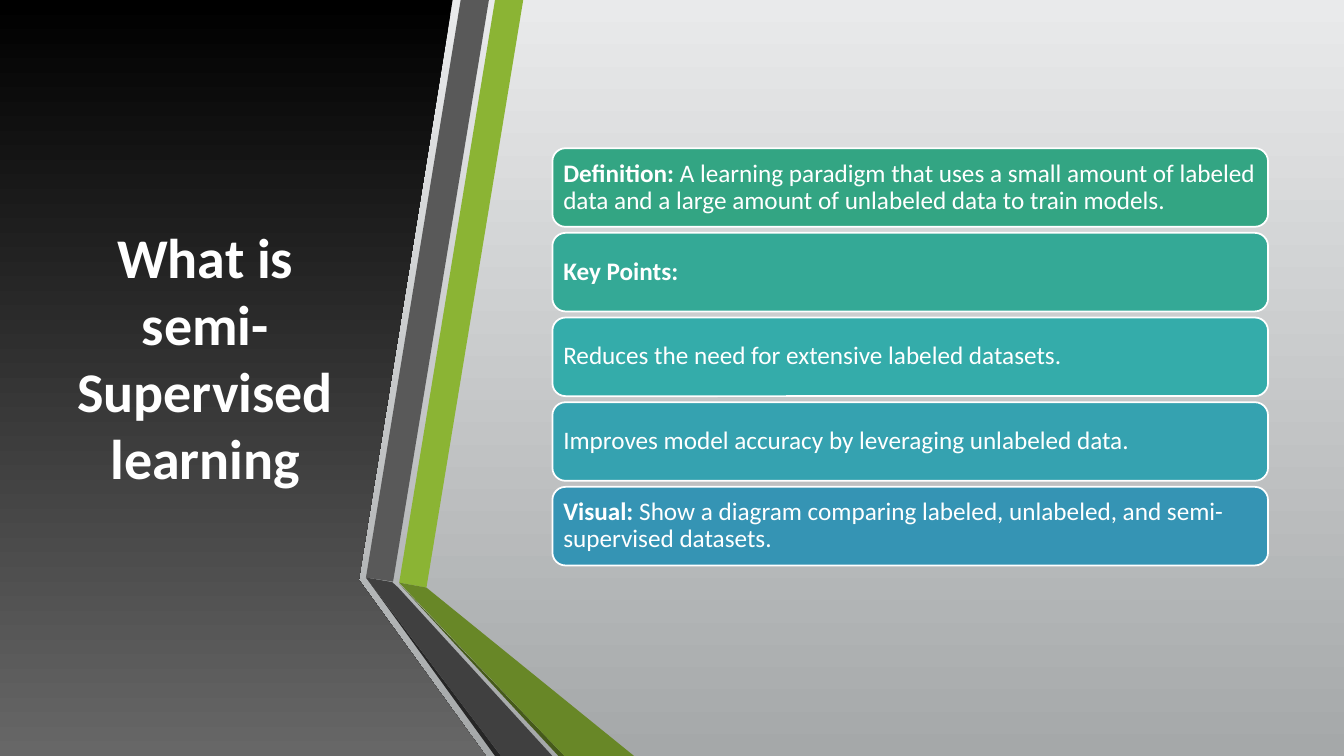
from dataclasses import dataclass

from pptx import Presentation
from pptx.dml.color import RGBColor as Rgb
from pptx.dml.fill import FillFormat as Fill
from pptx.enum.shapes import MSO_SHAPE as Kind
from pptx.enum.text import MSO_ANCHOR as Anchor, MSO_AUTO_SIZE as Fit, PP_ALIGN as Align
from pptx.shapes.autoshape import Shape
from pptx.slide import Slide
from pptx.text.text import Font
from pptx.util import Inches, Pt

WIDE, HIGH = Inches(13.33), Inches(7.5)
Point = tuple[float, float]  # shares of the slide, in percent


@dataclass(frozen=True)
class Theme:
    face: str = "Calibri"
    head: int = 40
    body: int = 18
    edge: float = 1.25
    white: str = "FFFFFF"
    back: tuple[str, str] = ("E9EAEB", "A5A8A9")
    panel: tuple[str, str] = ("000000", "676767")


@dataclass(frozen=True)
class Band:
    color: str
    points: tuple[Point, ...]


@dataclass(frozen=True)
class Card:
    color: str
    lead: str = ""
    text: str = ""


THEME = Theme()
TITLE = "What is semi-Supervised learning"
PANEL = ((0, 0), (33.68, 0), (26.7, 76.7), (36.15, 100), (0, 100))
BANDS = (
    Band("8BB434", ((29.7, 77.07), (31.73, 77.73), (38.93, 0), (36.83, 0))),
    Band("595959", ((36.38, 0), (34.28, 0), (27.23, 76.4), (29.25, 76.93))),
    Band("262626", ((27.23, 76.4), (36.83, 100), (37.28, 100))),
    Band("465A1A", ((29.7, 77.2), (41.55, 100), (42, 100))),
    Band("688727", ((29.7, 77.07), (42, 100), (47.18, 100), (31.73, 77.73))),
    Band("404040", ((41.1, 100), (29.63, 77.73), (29.18, 77), (27.23, 76.4),
                    (37.28, 100))),
)
CARDS = (
    Card("33A583", "Definition:", " A learning paradigm that uses a small amount of "
         "labeled data and a large amount of unlabeled data to train models."),
    Card("34A996", "Key Points:"),
    Card("34ACAA", text="Reduces the need for extensive labeled datasets."),
    Card("35A2B0", text="Improves model accuracy by leveraging unlabeled data."),
    Card("3594B4", "Visual:", " Show a diagram comparing labeled, unlabeled, and "
         "semi-supervised datasets."),
)
LEFT, TOP, SPAN, TALL, STEP = 41.1, 19.6, 53.25, 10.4, 11.2


def across(share: float) -> int:
    return round(WIDE * share / 100)


def down(share: float) -> int:
    return round(HIGH * share / 100)


def shade(fill: Fill, ends: tuple[str, str]) -> None:
    """Fill with a gradient from top to bottom."""
    fill.gradient()
    fill.gradient_angle = 270
    for stop, color in zip(fill.gradient_stops, ends):
        stop.color.rgb = Rgb.from_string(color)


def style(font: Font, size: int) -> None:
    font.name = THEME.face
    font.size = Pt(size)
    font.color.rgb = Rgb.from_string(THEME.white)


def outline(slide: Slide, points: tuple[Point, ...]) -> Shape:
    """Draw a closed shape without a line."""
    first, *rest = [(across(x), down(y)) for x, y in points]
    pen = slide.shapes.build_freeform(*first)
    pen.add_line_segments(rest, close=True)
    shape = pen.convert_to_shape()
    shape.shadow.inherit = False
    shape.line.fill.background()
    return shape


def add_band(slide: Slide, band: Band) -> None:
    fill = outline(slide, band.points).fill
    fill.solid()
    fill.fore_color.rgb = Rgb.from_string(band.color)


def add_card(slide: Slide, card: Card, row: int) -> None:
    box = slide.shapes.add_shape(
        Kind.ROUNDED_RECTANGLE, across(LEFT), down(TOP + row * STEP),
        across(SPAN), down(TALL))
    box.shadow.inherit = False
    box.fill.solid()
    box.fill.fore_color.rgb = Rgb.from_string(card.color)
    box.line.color.rgb = Rgb.from_string(THEME.white)
    box.line.width = Pt(THEME.edge)
    frame = box.text_frame
    frame.word_wrap = True
    frame.vertical_anchor = Anchor.MIDDLE
    frame.margin_left = frame.margin_right = Inches(0.07)
    frame.margin_top = frame.margin_bottom = Inches(0.07)
    line = frame.paragraphs[0]
    line.alignment = Align.LEFT
    line.line_spacing = 0.9
    style(line.font, THEME.body)
    for text, bold in ((card.lead, True), (card.text, False)):
        if text:
            run = line.add_run()
            run.text = text
            run.font.bold = bold


def set_title(slide: Slide) -> None:
    """Place the title in front of the dark panel."""
    title = slide.shapes.title
    title.left, title.top = across(4.43), down(10)
    title.width, title.height = across(21.68), down(74.4)
    frame = title.text_frame
    frame.text = TITLE
    frame.word_wrap = True
    frame.auto_size = Fit.NONE
    frame.vertical_anchor = Anchor.MIDDLE
    line = frame.paragraphs[0]
    line.alignment = Align.CENTER
    style(line.font, THEME.head)
    line.font.bold = True
    title.element.getparent().append(title.element)


def main() -> None:
    deck = Presentation()
    deck.slide_width, deck.slide_height = WIDE, HIGH
    slide = deck.slides.add_slide(deck.slide_layouts[5])
    shade(slide.background.fill, THEME.back)
    shade(outline(slide, PANEL).fill, THEME.panel)
    set_title(slide)
    for band in BANDS:
        add_band(slide, band)
    for row, card in enumerate(CARDS):
        add_card(slide, card, row)
    deck.save("out.pptx")


if __name__ == "__main__":
    main()
